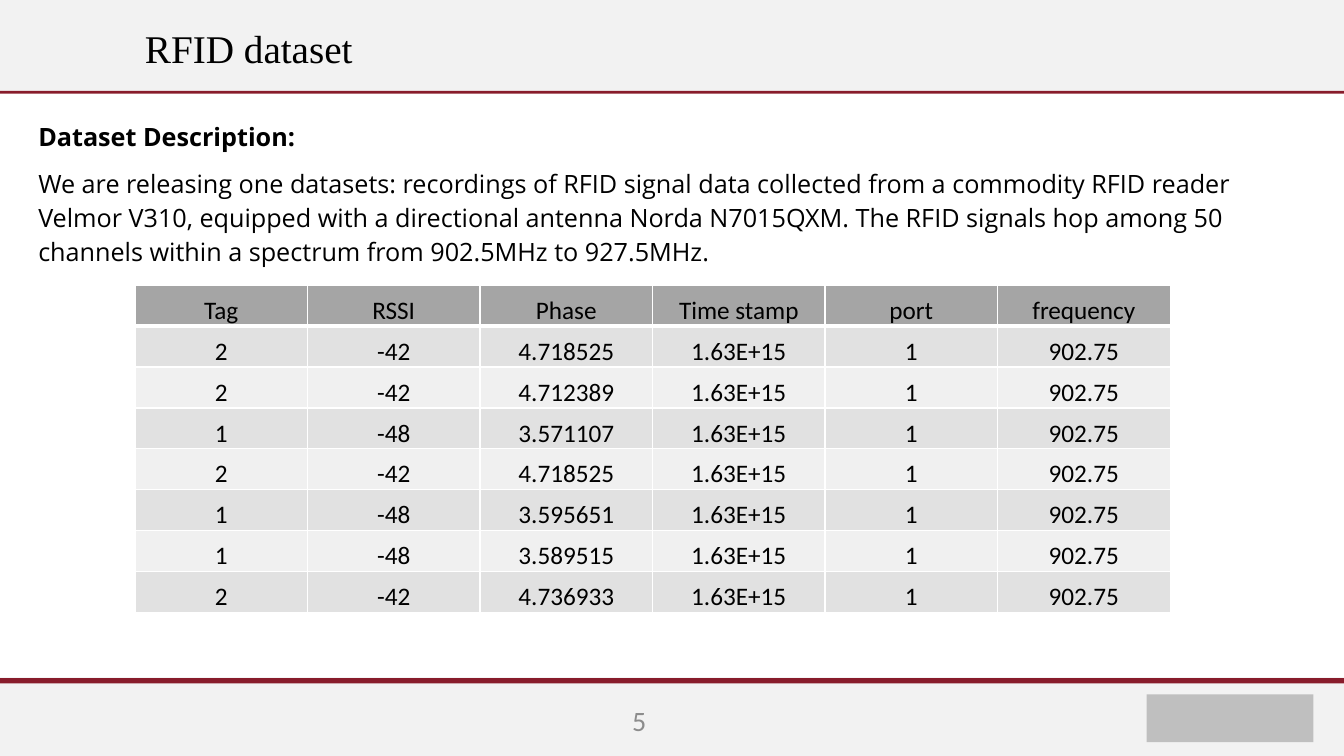
from typing import NamedTuple

from lxml import etree
from pptx import Presentation
from pptx import util as u
from pptx.dml.color import RGBColor
from pptx.enum import shapes, text
from pptx.oxml import ns

SERIF = "Times New Roman"
WIDTH, HEIGHT = 33.87, 19.05


class Block(NamedTuple):
    left: float
    top: float
    width: float
    height: float
    color: str


BLOCKS = [
    Block(0, 0, WIDTH, HEIGHT, "F2F2F2"),
    Block(0, 2.29, WIDTH, 0.13, "881C2B"),
    Block(0, 17.09, WIDTH, 0.13, "881C2B"),
    Block(0, 2.36, WIDTH, 14.71, "FFFFFF"),
    Block(28.9, 17.5, 4.2, 1.2, "BFBFBF"),
]
DESCRIPTION = (
    "We are releasing one datasets: recordings of RFID signal data collected "
    "from a commodity RFID reader Velmor V310, equipped with a directional "
    "antenna Norda N7015QXM. The RFID signals hop among 50 channels within a "
    "spectrum from 902.5MHz to 927.5MHz."
)
HEADERS = ["Tag", "RSSI", "Phase", "Time stamp", "port", "frequency"]
READINGS = [
    ("2", "-42", "4.718525"),
    ("2", "-42", "4.712389"),
    ("1", "-48", "3.571107"),
    ("2", "-42", "4.718525"),
    ("1", "-48", "3.595651"),
    ("1", "-48", "3.589515"),
    ("2", "-42", "4.736933"),
]
SHARED = ("1.63E+15", "1", "902.75")


def rgb(color: str) -> RGBColor:
    return RGBColor.from_string(color)


def style(p, size: int, font: str, color: str = "000000", bold: bool = False,
          align: text.PP_ALIGN = text.PP_ALIGN.LEFT) -> None:
    p.alignment = align
    p.font.size = u.Pt(size)
    p.font.name = font
    p.font.bold = bold
    p.font.color.rgb = rgb(color)


def place(sp, left: float, top: float, width: float, height: float) -> None:
    sp.left, sp.top = u.Cm(left), u.Cm(top)
    sp.width, sp.height = u.Cm(width), u.Cm(height)


def draw_block(s, block: Block) -> None:
    sp = s.shapes.add_shape(shapes.MSO_SHAPE.RECTANGLE,
                            u.Cm(block.left), u.Cm(block.top),
                            u.Cm(block.width), u.Cm(block.height))
    sp.shadow.inherit = False
    sp.fill.solid()
    sp.fill.fore_color.rgb = rgb(block.color)
    sp.line.fill.background()


def draw_page_number(s) -> None:
    sp = s.shapes.add_textbox(u.Cm(8.92), u.Cm(17.65), u.Cm(7.62), u.Cm(1.02))
    tf = sp.text_frame
    tf.word_wrap = True
    tf.vertical_anchor = text.MSO_ANCHOR.MIDDLE
    p = tf.paragraphs[0]
    p.text = "5"
    style(p, 20, "Calibri", "8C8C8C", align=text.PP_ALIGN.RIGHT)


def fill_title(sp) -> None:
    place(sp, 3.4, 0.2, 29.21, 2.16)
    tf = sp.text_frame
    tf.text = "RFID dataset"
    tf.vertical_anchor = text.MSO_ANCHOR.MIDDLE
    p = tf.paragraphs[0]
    style(p, 28, SERIF)
    p.line_spacing = 0.9


def fill_body(sp) -> None:
    place(sp, 0.71, 2.84, 31.88, 12.09)
    tf = sp.text_frame
    tf.text = "Dataset Description:\n" + DESCRIPTION
    for i, p in enumerate(tf.paragraphs):
        style(p, 18, "Open Sans", bold=i == 0)
        p.line_spacing = u.Pt(24)
        p.space_before = u.Pt(10)
        pPr = p._p.get_or_add_pPr()
        pPr.set("marL", "0")
        pPr.set("indent", "0")
        pPr.insert_element_before(pPr.makeelement(ns.qn("a:buNone")),
                                  "a:tabLst", "a:defRPr", "a:extLst")


def set_borders(cell, top: int, bottom: int) -> None:
    """Give the cell white borders; widths are in points."""
    tcPr = cell._tc.get_or_add_tcPr()
    for side, width in (("L", 1), ("R", 1), ("T", top), ("B", bottom)):
        ln = etree.SubElement(tcPr, ns.qn(f"a:ln{side}"), w=str(u.Pt(width)))
        fill = etree.SubElement(ln, ns.qn("a:solidFill"))
        etree.SubElement(fill, ns.qn("a:srgbClr"), val="FFFFFF")


def draw_table(s) -> None:
    rows = [HEADERS] + [reading + SHARED for reading in READINGS]
    frame = s.shapes.add_table(len(rows), len(HEADERS), u.Cm(3.4), u.Cm(7.19),
                               u.Cm(26.09), u.Cm(1.03 * len(rows)))
    table = frame.table
    table.horz_banding = False
    for i, row in enumerate(rows):
        color = "A5A5A5" if i == 0 else ("F0F0F0", "E1E1E1")[i % 2]
        for j, value in enumerate(row):
            cell = table.cell(i, j)
            cell.text = value
            cell.vertical_anchor = text.MSO_ANCHOR.BOTTOM
            cell.margin_left = cell.margin_right = cell.margin_top = u.Cm(0.02)
            cell.margin_bottom = 0
            style(cell.text_frame.paragraphs[0], 18, "Calibri",
                  align=text.PP_ALIGN.CENTER)
            set_borders(cell, 3 if i == 1 else 1, 3 if i == 0 else 1)
            cell.fill.solid()
            cell.fill.fore_color.rgb = rgb(color)


def main() -> None:
    prs = Presentation()
    prs.slide_width, prs.slide_height = u.Cm(WIDTH), u.Cm(HEIGHT)
    s = prs.slides.add_slide(prs.slide_layouts[1])
    title, body = s.placeholders
    for block in BLOCKS:
        draw_block(s, block)
    draw_page_number(s)
    fill_title(title)
    fill_body(body)
    for sp in (body, title):  # bring the text in front of the blocks
        sp.element.getparent().append(sp.element)
    draw_table(s)
    prs.save("out.pptx")


if __name__ == "__main__":
    main()
